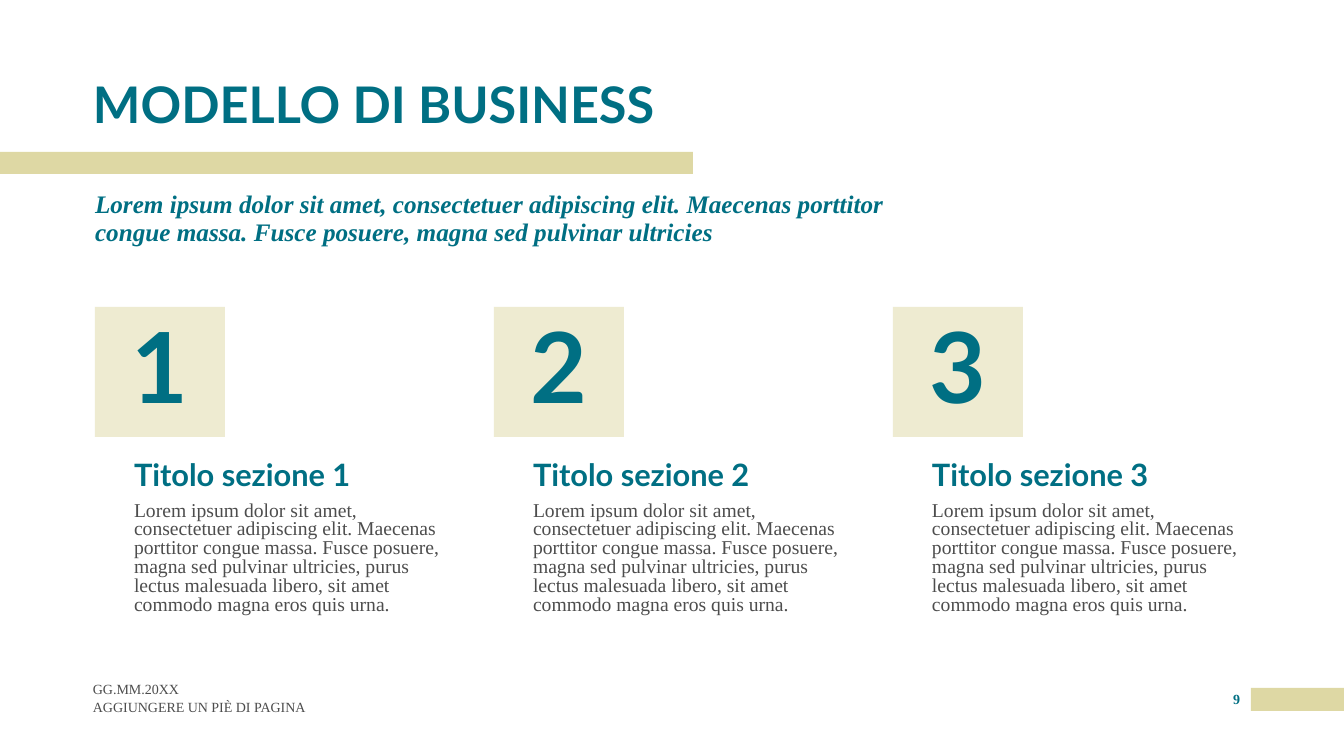
from lxml.etree import SubElement
from pptx import Presentation
from pptx.dml.color import RGBColor
from pptx.enum.shapes import MSO_SHAPE
from pptx.enum.text import MSO_ANCHOR, MSO_AUTO_SIZE, PP_ALIGN
from pptx.oxml.ns import qn
from pptx.util import Emu, Pt

# Content
TITLE = "MODELLO DI BUSINESS"
INTRO = ("Lorem ipsum dolor sit amet, consectetuer adipiscing elit. Maecenas porttitor "
         "congue massa. Fusce posuere, magna sed pulvinar ultricies")
SECTION_TEXT = ("Lorem ipsum dolor sit amet, consectetuer adipiscing elit. Maecenas porttitor "
                "congue massa. Fusce posuere, magna sed pulvinar ultricies, purus lectus "
                "malesuada libero, sit amet commodo magna eros quis urna.")
SECTIONS = [
    ("1", "Titolo sezione 1", SECTION_TEXT),
    ("2", "Titolo sezione 2", SECTION_TEXT),
    ("3", "Titolo sezione 3", SECTION_TEXT),
]
DATE = "GG.MM.20XX"
FOOTER = "AGGIUNGERE UN PIÈ DI PAGINA"
PAGE_NUMBER = "9"

# Look
TEAL, SAND, GREY = "006F83", "DED8A4", "4D4D4D"
HEAD_FONT, TEXT_FONT = "Lato", "Times New Roman"
BARS = [(1251, 688, 93, 23), (0, 152, 693, 22)]

# Section grid, in px
FIRST_LEFT, STEP, INDENT = 95, 399, 39
BADGE_TOP, BADGE_SIZE = 307, 130
HEADING_TOP, HEADING_HEIGHT = 442, 51
TEXT_TOP, TEXT_HEIGHT, TEXT_WIDTH = 502, 125, 323


def px(length):
    return Emu(round(length * 914400 / 100.8))


def color(value):
    return RGBColor.from_string(value)


def add_block(left, top, width, height, opacity=None):
    block = slide.shapes.add_shape(MSO_SHAPE.RECTANGLE, *map(px, (left, top, width, height)))
    block.shadow.inherit = False
    block.fill.solid()
    block.fill.fore_color.rgb = color(SAND)
    block.line.fill.background()
    if opacity:
        fill_color = block.fill._xPr.find(qn("a:solidFill"))[0]
        SubElement(fill_color, qn("a:alpha"), val=str(opacity * 1000))
    return block


def add_label(left, top, width, height):
    return slide.shapes.add_textbox(*map(px, (left, top, width, height)))


def place(placeholder, left, top, width, height):
    placeholder.left, placeholder.top = px(left), px(top)
    placeholder.width, placeholder.height = px(width), px(height)
    return placeholder


def write(shape, text, size, font=TEXT_FONT, ink=TEAL, bold=False, italic=False,
          anchor=MSO_ANCHOR.TOP, align=PP_ALIGN.LEFT, spacing=1.0):
    frame = shape.text_frame
    frame.margin_left = frame.margin_top = frame.margin_right = frame.margin_bottom = 0
    frame.word_wrap = True
    frame.auto_size = MSO_AUTO_SIZE.NONE
    frame.vertical_anchor = anchor
    frame.text = text
    paragraph = frame.paragraphs[0]
    properties = paragraph._p.get_or_add_pPr()
    properties.set("marL", "0")
    properties.set("indent", "0")
    SubElement(properties, qn("a:buNone"))
    paragraph.alignment = align
    paragraph.line_spacing = spacing
    paragraph.space_before = Pt(0)
    paragraph.font.name, paragraph.font.size = font, Pt(size)
    paragraph.font.bold, paragraph.font.italic = bold, italic
    paragraph.font.color.rgb = color(ink)


deck = Presentation()
deck.slide_width, deck.slide_height = px(1344), px(756)
slide = deck.slides.add_slide(deck.slide_layouts[1])

# Accent bars
for bar in BARS:
    add_block(*bar)

# Title and introduction
title = place(slide.shapes.title, 93, 69, 860, 65)
write(title, TITLE, 36, HEAD_FONT, bold=True, anchor=MSO_ANCHOR.BOTTOM, spacing=0.9)
intro = place(slide.placeholders[1], 95, 192, 860, 104)
write(intro, INTRO, 18, bold=True, italic=True, spacing=0.9)

# Numbered sections
for index, (number, heading, text) in enumerate(SECTIONS):
    left = FIRST_LEFT + index * STEP
    text_left = left + INDENT
    write(add_block(left, BADGE_TOP, BADGE_SIZE, BADGE_SIZE, opacity=50), number, 70, HEAD_FONT,
          bold=True, anchor=MSO_ANCHOR.MIDDLE, align=PP_ALIGN.CENTER, spacing=0.9)
    write(add_label(text_left, HEADING_TOP, TEXT_WIDTH, HEADING_HEIGHT), heading, 22, HEAD_FONT,
          bold=True, anchor=MSO_ANCHOR.BOTTOM, spacing=0.9)
    write(add_label(text_left, TEXT_TOP, TEXT_WIDTH, TEXT_HEIGHT), text, 14, ink=GREY, spacing=0.8)

# Date, footer and page number
write(add_label(93, 672, 302, 25), DATE, 10, ink=GREY, anchor=MSO_ANCHOR.BOTTOM)
write(add_label(93, 699, 302, 25), FOOTER, 10, ink=GREY)
write(add_label(1222, 691, 29, 25), PAGE_NUMBER, 10, bold=True, align=PP_ALIGN.CENTER)

deck.save("out.pptx")
